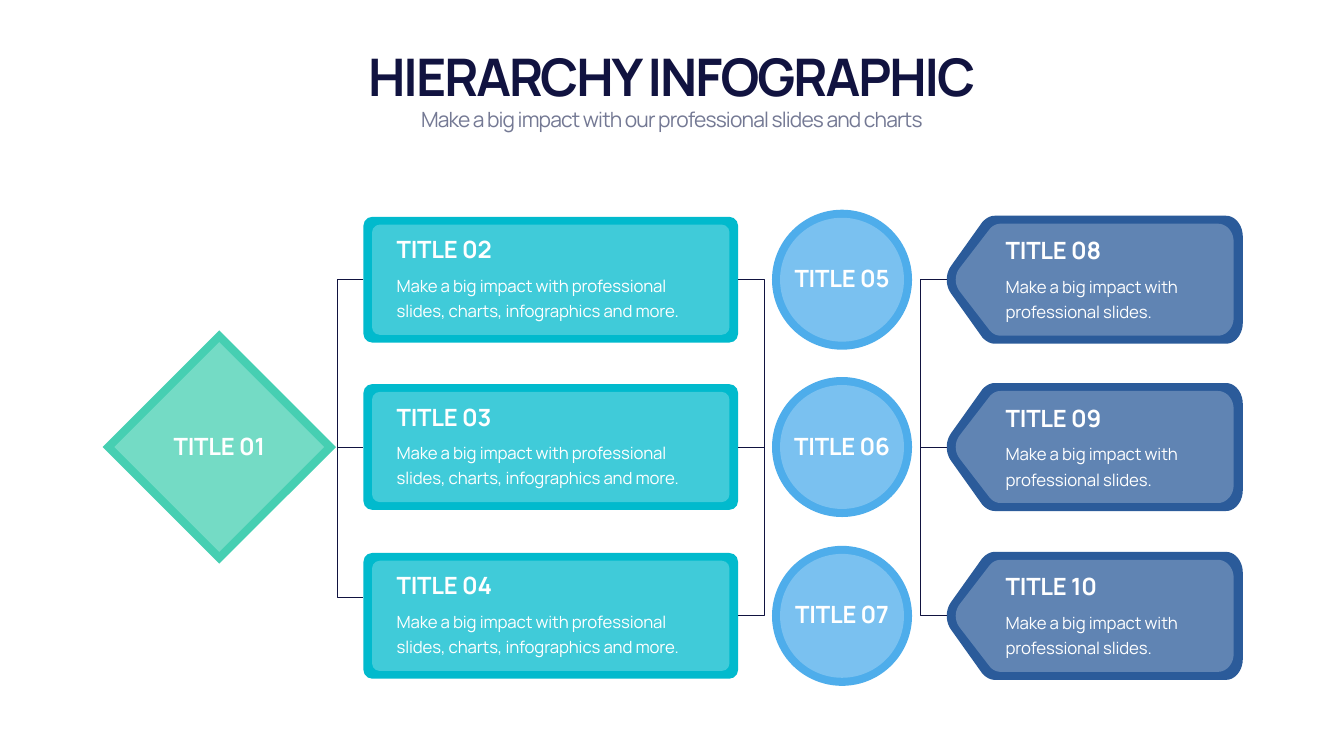
from dataclasses import dataclass

from lxml import etree
from pptx import Presentation
from pptx.dml.color import RGBColor
from pptx.enum.shapes import MSO_CONNECTOR, MSO_SHAPE
from pptx.enum.text import MSO_ANCHOR, MSO_AUTO_SIZE, PP_ALIGN
from pptx.oxml.ns import qn
from pptx.util import Pt

DIAMOND, OVAL = MSO_SHAPE.DIAMOND, MSO_SHAPE.OVAL
ROUNDED = MSO_SHAPE.ROUNDED_RECTANGLE
STRAIGHT = MSO_CONNECTOR.STRAIGHT
TOP, MIDDLE, BOTTOM = MSO_ANCHOR.TOP, MSO_ANCHOR.MIDDLE, MSO_ANCHOR.BOTTOM
LEFT, CENTER = PP_ALIGN.LEFT, PP_ALIGN.CENTER
GROW = MSO_AUTO_SIZE.SHAPE_TO_FIT_TEXT

COLORS = {
    "navy": "111340", "gray": "747994", "white": "FFFFFF", "green": "46CFB2",
    "teal": "01BACD", "sky": "4EADEB", "blue": "2B5B9A",
}
STYLES = {
    "headline": {"size": Pt(74), "bold": True, "color": "navy", "spacing": -290},
    "subtitle": {"size": Pt(30), "bold": False, "color": "gray", "spacing": -120},
    "label": {"size": Pt(34), "bold": True, "color": "white", "spacing": -30},
    "detail": {"size": Pt(24), "bold": False, "color": "white", "spacing": -20},
}
ROW_CENTERS = (399.6, 638.6, 879.8)
MIDDLE_ROW = ROW_CENTERS[1]
LABEL_HEIGHT = 48.2
CURVE_STEPS = 10

Point = tuple[float, float]
Curve = list[Point]


@dataclass
class Badge:
    """Preset shape with a lighter inner copy on the same center."""
    kind: int
    color: str
    center_x: float
    outer: Point
    inner: Point
    outer_radius: float = 0
    inner_radius: float = 0


@dataclass
class TagOutline:
    """Upper corners and left tip of a tag, from its left edge and row center."""
    left: float
    right_corner: Curve
    left_corner: Curve
    tip: Curve


@dataclass
class Bracket:
    spine_x: float
    end_x: float
    bottom: float


@dataclass
class Entry:
    left: float
    width: float
    label_offset: float
    detail_offset: float
    first_number: int
    detail: str


ROOT = Badge(DIAMOND, "green", 313.2, (333.4, 333.4), (299.5, 299.5))
CARD = Badge(ROUNDED, "teal", 786.6, (535, 179.6), (510.5, 157.5), 12.5, 11)
CIRCLE = Badge(OVAL, "sky", 1202.6, (200, 200), (177, 177))
TAG_OUTER = TagOutline(
    1350.2,
    [(401, -91.4), (414, -91.4), (424.8, -77.8), (424.8, -61.9)],
    [(70.6, -91.4), (64.1, -91.4), (57.6, -87.8), (52.6, -82.1)],
    [(7.9, -19.4), (0, -7.9), (0, 7.9), (7.9, 19.4)],
)
TAG_INNER = TagOutline(
    1363,
    [(376.6, -80), (388.8, -80), (398.9, -68.4), (398.9, -54.7)],
    [(66.2, -80), (59.8, -80), (54, -77), (49.7, -71.3)],
    [(7.9, -17), (0, -6.8), (0, 6.8), (7.9, 17)],
)
BRACKETS = (
    Bracket(481.7, 519.1, 853.2),
    Bracket(1091.5, 1054.1, ROW_CENTERS[2]),
    Bracket(1314.7, 1352.2, ROW_CENTERS[2]),
)
ENTRIES = (
    Entry(559.4, 453.6, -67.7, -16.6, 2,
          "Make a big impact with professional slides, charts, infographics and more."),
    Entry(1429.2, 300.2, -66.2, -15, 8, "Make a big impact with professional slides."),
)


def rgb(name: str) -> RGBColor:
    return RGBColor.from_string(COLORS[name])


def paint(shape, color: str, opacity: int = 100) -> None:
    shape.shadow.inherit = False
    shape.fill.solid()
    shape.fill.fore_color.rgb = rgb(color)
    shape.line.fill.background()
    if opacity < 100:
        color_element = shape.fill._xPr.find(qn("a:solidFill"))[0]
        etree.SubElement(color_element, qn("a:alpha"), val=str(opacity * 1000))


def draw_badge(slide, badge: Badge, center_y: float) -> None:
    layers = ((badge.outer, badge.outer_radius, badge.color, 100),
              (badge.inner, badge.inner_radius, "white", 25))
    for (width, height), radius, color, opacity in layers:
        shape = slide.shapes.add_shape(
            badge.kind, Pt(badge.center_x - width / 2), Pt(center_y - height / 2),
            Pt(width), Pt(height))
        if radius:
            shape.adjustments[0] = radius / height
        paint(shape, color, opacity)


def sample(curve: Curve) -> list[Point]:
    """Points along a cubic Bezier curve."""
    points = []
    for step in range(CURVE_STEPS + 1):
        t = step / CURVE_STEPS
        weights = ((1 - t) ** 3, 3 * t * (1 - t) ** 2, 3 * t * t * (1 - t), t ** 3)
        points.append(tuple(sum(weight * point[axis] for weight, point in zip(weights, curve))
                            for axis in (0, 1)))
    return points


def mirror(curve: Curve) -> Curve:
    return [(x, -y) for x, y in curve]


def draw_path(slide, points: list[Point], close: bool):
    vertices = [(Pt(x), Pt(y)) for x, y in points]
    builder = slide.shapes.build_freeform(*vertices[0], scale=1.0)
    builder.add_line_segments(vertices[1:], close=close)
    return builder.convert_to_shape()


def draw_tag(slide, outline: TagOutline, center_y: float, color: str, opacity: int) -> None:
    right, left = outline.right_corner, outline.left_corner
    curves = (right, mirror(right)[::-1], mirror(left), outline.tip[::-1], left[::-1])
    points = [(outline.left + x, center_y + y) for curve in curves for x, y in sample(curve)]
    paint(draw_path(slide, points, True), color, opacity)


def draw_bracket(slide, bracket: Bracket) -> None:
    spine, end, top = bracket.spine_x, bracket.end_x, ROW_CENTERS[0]
    outline = draw_path(slide, [(end, top), (spine, top), (spine, bracket.bottom),
                                (end, bracket.bottom)], False)
    outline.fill.background()
    outline.shadow.inherit = False
    branch = slide.shapes.add_connector(
        STRAIGHT, Pt(spine), Pt(MIDDLE_ROW), Pt(end), Pt(MIDDLE_ROW))
    etree.SubElement(branch._element.spPr, qn("a:effectLst"))
    for shape in (outline, branch):
        shape.line.color.rgb = rgb("navy")
        shape.line.width = Pt(1)


def write(shape, text: str, style: str, anchor, alignment, line_spacing=None) -> None:
    frame = shape.text_frame
    frame.text = text
    for name, value in {"word_wrap": True, "auto_size": GROW, "vertical_anchor": anchor}.items():
        setattr(frame, name, value)
    paragraph = frame.paragraphs[0]
    for name, value in {"alignment": alignment, "line_spacing": line_spacing,
                        "space_before": Pt(0)}.items():
        setattr(paragraph, name, value)
    font, values = paragraph.runs[0].font, STYLES[style]
    for name, value in {"name": "Manrope", "size": values["size"], "bold": values["bold"]}.items():
        setattr(font, name, value)
    font.color.rgb = rgb(values["color"])
    font._element.set("spc", str(values["spacing"]))


def add_text(slide, left: float, top: float, width: float, height: float, *content) -> None:
    box = slide.shapes.add_textbox(Pt(left), Pt(top), Pt(width), Pt(height))
    write(box, *content)


def add_centered_label(slide, badge: Badge, center_y: float, width: float, number: int) -> None:
    add_text(slide, badge.center_x - width / 2, center_y - 2 - LABEL_HEIGHT / 2, width,
             LABEL_HEIGHT, f"TITLE {number:02}", "label", MIDDLE, CENTER)


def add_heading(slide) -> None:
    title, subtitle = slide.placeholders
    for shape, top, height in ((title, 59, 97.2), (subtitle, 149, 43.9)):
        shape.left, shape.top, shape.width, shape.height = map(Pt, (119.5, top, 1679.8, height))
    write(title, "HIERARCHY INFOGRAPHIC", "headline", BOTTOM, CENTER)
    write(subtitle, "Make a big impact with our professional slides and charts",
          "subtitle", TOP, CENTER)


def main() -> None:
    presentation = Presentation()
    presentation.slide_width, presentation.slide_height = Pt(1919.52), Pt(1080)
    slide = presentation.slides.add_slide(presentation.slide_layouts[0])
    add_heading(slide)
    draw_badge(slide, ROOT, MIDDLE_ROW)
    for center_y in ROW_CENTERS:
        draw_badge(slide, CARD, center_y)
        draw_badge(slide, CIRCLE, center_y)
        draw_tag(slide, TAG_OUTER, center_y, "blue", 100)
        draw_tag(slide, TAG_INNER, center_y, "white", 25)
    for bracket in BRACKETS:
        draw_bracket(slide, bracket)
    add_centered_label(slide, ROOT, MIDDLE_ROW, 247.7, 1)
    for row, center_y in enumerate(ROW_CENTERS):
        add_centered_label(slide, CIRCLE, center_y, 185, 5 + row)
        for entry in ENTRIES:
            add_text(slide, entry.left, center_y + entry.label_offset, entry.width, LABEL_HEIGHT,
                     f"TITLE {entry.first_number + row:02}", "label", BOTTOM, LEFT)
            add_text(slide, entry.left, center_y + entry.detail_offset, entry.width, 78.5,
                     entry.detail, "detail", TOP, LEFT, Pt(36))
    presentation.save("out.pptx")


if __name__ == "__main__":
    main()
